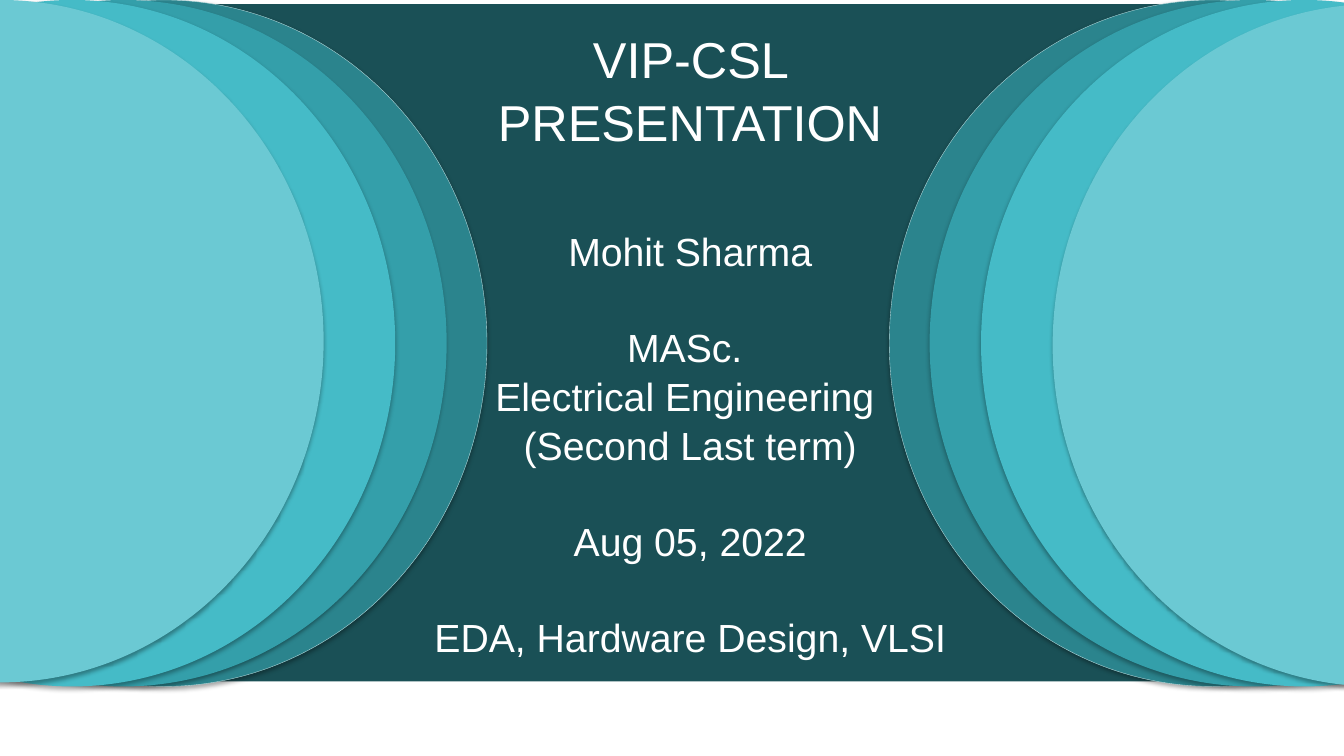
from lxml import etree
from pptx import Presentation
from pptx import util as u
from pptx.dml.color import RGBColor
from pptx.enum import shapes, text
from pptx.oxml.ns import qn

DISC_WIDTH = 6.41
# Fill, distance from the outer fan edge, height, outline
DISCS = [
    ("2B848D", 0, 6.81, "B6DCDF"),
    ("349FAA", 0.4, 6.81, None),
    ("45BBC7", 0.91, 6.81, None),
    ("6BC9D3", 1.62, 6.77, None),
]
# Wording, size, space before
LINES = [
    (" VIP-CSL ", 36, 0),
    ("PRESENTATION", 36, 0),
    ("Mohit Sharma", 28, 53),
    ("MASc. ", 28, 33.6),
    ("Electrical Engineering ", 28, 0),
    ("(Second Last term)", 28, 0),
    ("Aug 05, 2022", 28, 33.6),
    ("EDA, Hardware Design, VLSI", 28, 33.6),
]


def color(value):
    return RGBColor.from_string(value)


def add_block(slide, kind, box, fill, outline=None):
    block = slide.shapes.add_shape(kind, *(u.Inches(n) for n in box))
    block.shadow.inherit = False
    block.fill.solid()
    block.fill.fore_color.rgb = color(fill)
    if outline:
        block.line.color.rgb = color(outline)
        block.line.width = u.Pt(0.25)
    else:
        block.line.fill.background()
    return block


def add_shadow(block):
    effects = block.element.spPr.find(qn("a:effectLst"))
    shadow = etree.SubElement(
        effects, qn("a:outerShdw"), blurRad=str(u.Pt(3.1)),
        dist=str(u.Pt(1.8)), dir="5400000", rotWithShape="0")
    black = etree.SubElement(shadow, qn("a:srgbClr"), val="000000")
    etree.SubElement(black, qn("a:alpha"), val="35000")


def write(paragraph, words, size, before=0, ink="FFFFFF", font="Arial"):
    paragraph.alignment = text.PP_ALIGN.CENTER
    paragraph.line_spacing = 1.04
    paragraph.space_before = u.Pt(before)
    run = paragraph.add_run()
    run.text = words
    run.font.name = font
    run.font.size = u.Pt(size)
    run.font.color.rgb = color(ink)


def title_panel(slide, box):
    panel = add_block(slide, shapes.MSO_SHAPE.RECTANGLE, box, "1A5056")
    frame = panel.text_frame
    frame.word_wrap = True
    frame.vertical_anchor = text.MSO_ANCHOR.MIDDLE
    for index, (words, size, before) in enumerate(LINES):
        paragraph = frame.add_paragraph() if index else frame.paragraphs[0]
        write(paragraph, words, size, before=before)


def disc_fan(slide, edge, top, direction):
    """Stack discs from an inner edge outwards: -1 to the left, 1 to the right."""
    for fill, offset, height, outline in DISCS:
        inner = edge + direction * offset
        left = inner if direction > 0 else inner - DISC_WIDTH
        # The right fan is turned upside down, so its discs share a bottom edge
        drop = DISCS[0][2] - height if direction > 0 else 0
        disc = add_block(slide, shapes.MSO_SHAPE.OVAL,
                         (left, top + drop, DISC_WIDTH, height), fill, outline)
        add_shadow(disc)


def main():
    deck = Presentation()
    deck.slide_width, deck.slide_height = u.Inches(13.33), u.Inches(7.5)
    slide = deck.slides.add_slide(deck.slide_layouts[6])
    title_panel(slide, (1.27, 0.04, 11.15, 6.72))
    disc_fan(slide, 8.82, 0, 1)
    disc_fan(slide, 4.83, 0, -1)
    deck.save("out.pptx")


if __name__ == "__main__":
    main()
